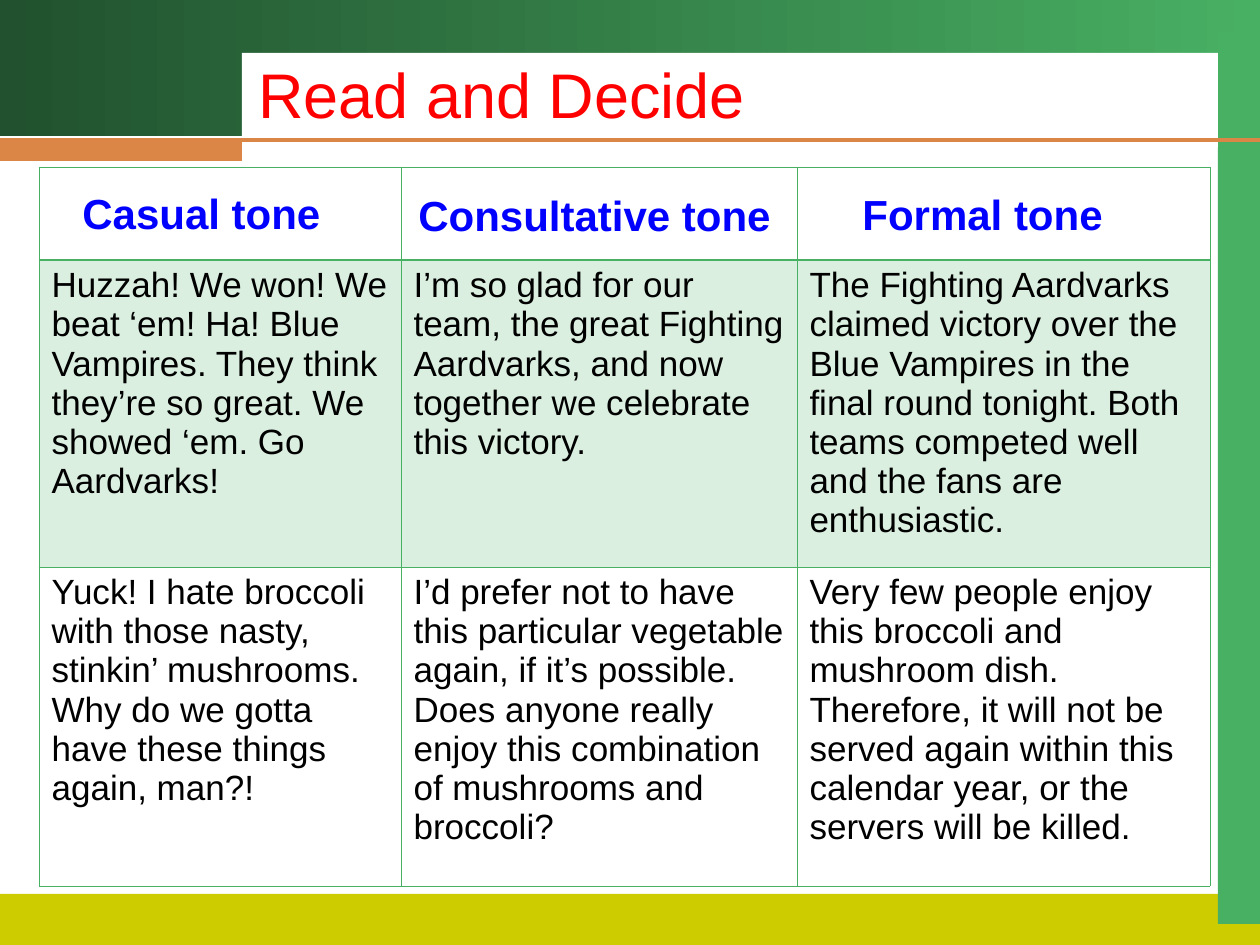
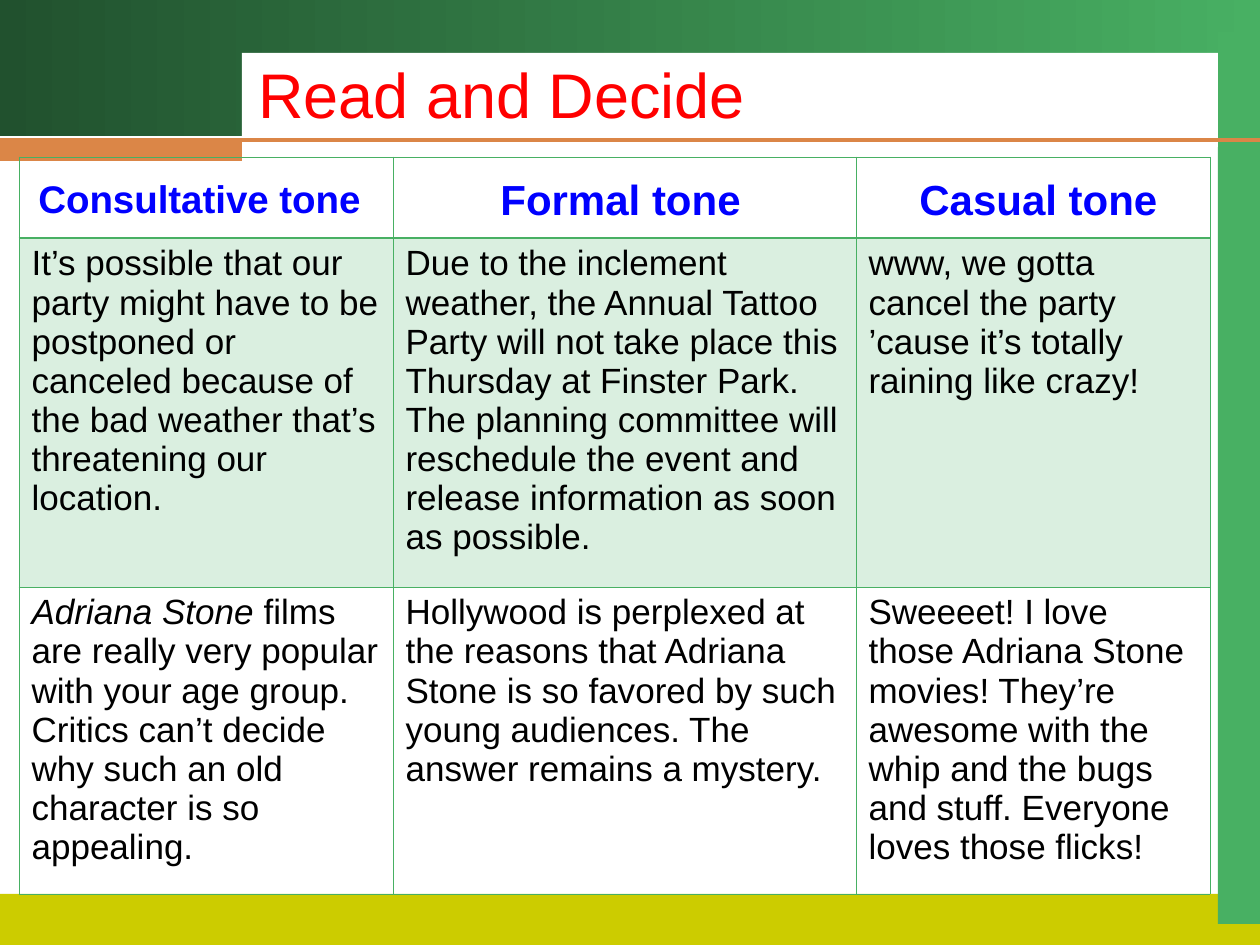
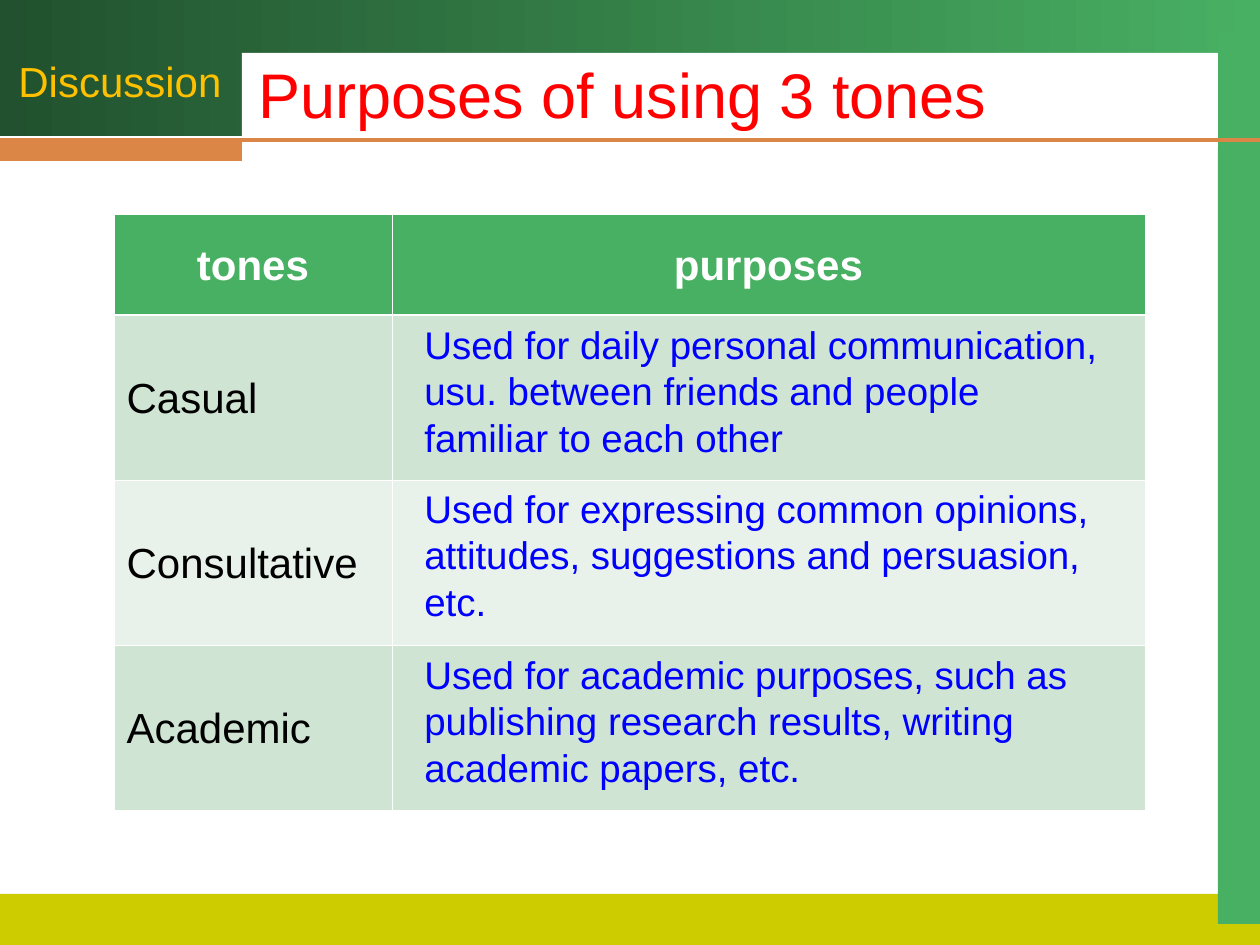
from lxml.etree import SubElement
from pptx import Presentation
from pptx.dml.color import RGBColor
from pptx.enum.shapes import MSO_CONNECTOR, MSO_SHAPE
from pptx.enum.text import MSO_ANCHOR, PP_ALIGN
from pptx.oxml.ns import qn
from pptx.util import Pt

PX = 7257  # EMU in one px, 126 px to the inch
FONT = "Arial"
DARK_GREEN = RGBColor(0x21, 0x51, 0x2E)
GREEN = RGBColor(0x48, 0xB0, 0x63)
PALE_GREEN = RGBColor(0xDA, 0xEF, 0xE0)
ROW_GREEN = RGBColor(0xCF, 0xE4, 0xD3)
ROW_LIGHT = RGBColor(0xE9, 0xF2, 0xEA)
OLIVE = RGBColor(0xCC, 0xCC, 0x00)
ORANGE = RGBColor(0xDB, 0x86, 0x47)
AMBER = RGBColor(0xFF, 0xC0, 0x00)
RED = RGBColor(0xFF, 0x00, 0x00)
BLUE = RGBColor(0x00, 0x00, 0xFF)
BLACK = RGBColor(0x00, 0x00, 0x00)
WHITE = RGBColor(0xFF, 0xFF, 0xFF)

# Left, top, width, height and colour of the bands on every slide
BANDS = [
    (0, 0, 1260, 136, None),
    (0, 894, 1260, 53, OLIVE),
    (1218, 32, 42, 892, GREEN),
    (242, 53, 976, 94, WHITE),
    (0, 140, 242, 21, ORANGE),
]
TITLES = ["Read and Decide", "Read and Decide", "Purposes of using 3 tones"]

TONE_TABLES = [
    {
        "at": (39, 167), "columns": [362, 396, 413], "rows": [93, 307, 319],
        "headings": [
            ("Casual tone", 70, 181, 268, 24),
            ("Consultative tone", 406, 183, 386, 24),
            ("Formal tone", 850, 182, 270, 24),
        ],
        "examples": [
            [
                "Huzzah! We won! We beat ‘em! Ha! Blue Vampires. They think they’re so great. "
                "We showed ‘em. Go Aardvarks!",
                "I’m so glad for our team, the great Fighting Aardvarks, and now together we "
                "celebrate this victory.",
                "The Fighting Aardvarks claimed victory over the Blue Vampires in the final round "
                "tonight. Both teams competed well and the fans are enthusiastic.",
            ],
            [
                "Yuck! I hate broccoli with those nasty, stinkin’ mushrooms. Why do we gotta have "
                "these things again, man?!",
                "I’d prefer not to have this particular vegetable again, if it’s possible. Does "
                "anyone really enjoy this combination of mushrooms and broccoli?",
                "Very few people enjoy this broccoli and mushroom dish. Therefore, it will not be "
                "served again within this calendar year, or the servers will be killed.",
            ],
        ],
    },
    {
        "at": (19, 157), "columns": [374, 463, 354], "rows": [81, 349, 307],
        "headings": [
            ("Casual tone", 907, 167, 268, 24),
            ("Consultative tone", 26, 169, 356, 22),
            ("Formal tone", 488, 167, 270, 24),
        ],
        "examples": [
            [
                "It’s possible that our party might have to be postponed or canceled because of "
                "the bad weather that’s threatening our location.",
                "Due to the inclement weather, the Annual Tattoo Party will not take place this "
                "Thursday at Finster Park. The planning committee will reschedule the event and "
                "release information as soon as possible.",
                "www, we gotta cancel the party ’cause it’s totally raining like crazy!",
            ],
            [
                ("Adriana Stone ", "films are really very popular with your age group. Critics "
                 "can’t decide why such an old character is so appealing."),
                "Hollywood is perplexed at the reasons that Adriana Stone is so favored by such "
                "young audiences. The answer remains a mystery.",
                "Sweeeet! I love those Adriana Stone movies! They’re awesome with the whip and "
                "the bugs and stuff. Everyone loves those flicks!",
            ],
        ],
    },
]

PURPOSES = [
    ("Casual", ROW_GREEN, 315,
     "Used for daily personal communication, usu. between friends and people familiar to each other"),
    ("Consultative", ROW_LIGHT, 479,
     "Used for expressing common opinions, attitudes, suggestions and persuasion, etc."),
    ("Academic", ROW_GREEN, 645,
     "Used for academic purposes, such as publishing research results, writing academic papers, etc."),
]


def write_text(target, text, size, colour, box=None, bold=False, wrap=True,
               align=PP_ALIGN.LEFT, pitch=1.2):
    """Write into a cell, or into a new text box when box is given.

    In a pair of texts the first one is italic.
    """
    if box:
        target = target.add_textbox(*[length * PX for length in box])
        target.text_frame.word_wrap = wrap
    paragraph = target.text_frame.paragraphs[0]
    paragraph.alignment = align
    paragraph.line_spacing = Pt(size * pitch)
    pieces = [text] if isinstance(text, str) else text
    for index, piece in enumerate(pieces):
        run = paragraph.add_run()
        run.text = piece
        run.font.name = FONT
        run.font.size = Pt(size)
        run.font.bold = bold
        run.font.italic = index < len(pieces) - 1
        run.font.color.rgb = colour


def add_plain_table(slide, left, top, columns, rows, colour, header_line):
    """Add a table with thin borders and a heavier line under its first row."""
    frame = slide.shapes.add_table(len(rows), len(columns), left * PX, top * PX,
                                   sum(columns) * PX, sum(rows) * PX)
    table = frame.table
    table.first_row = table.horz_banding = False
    for column, width in zip(table.columns, columns):
        column.width = width * PX
    for index, (row, height) in enumerate(zip(table.rows, rows)):
        row.height = height * PX
        for cell in row.cells:
            properties = cell._tc.get_or_add_tcPr()
            for side in ("L", "R", "T", "B"):
                heavy = (index, side) in ((0, "B"), (1, "T"))
                line = SubElement(properties, qn(f"a:ln{side}"),
                                  w=str(Pt(header_line if heavy else 0.45)))
                fill = SubElement(line, qn("a:solidFill"))
                SubElement(fill, qn("a:srgbClr"), val=str(colour))
            cell.fill.background()
    return table


presentation = Presentation()
presentation.slide_width = 1260 * PX
presentation.slide_height = 945 * PX

# Bands, rule and title of every slide
for title in TITLES:
    slide = presentation.slides.add_slide(presentation.slide_layouts[6])
    for left, top, width, height, colour in BANDS:
        band = slide.shapes.add_shape(MSO_SHAPE.RECTANGLE, left * PX, top * PX,
                                      width * PX, height * PX)
        band.shadow.inherit = False
        band.line.fill.background()
        if colour is None:
            band.fill.gradient()
            band.fill.gradient_angle = 0
            for stop, shade in zip(band.fill.gradient_stops, (DARK_GREEN, GREEN)):
                stop.color.rgb = shade
            band.fill.gradient_stops[0].position = 0
            band.fill.gradient_stops[1].position = 1
        else:
            band.fill.solid()
            band.fill.fore_color.rgb = colour
    rule = slide.shapes.add_connector(MSO_CONNECTOR.STRAIGHT, 0, 140 * PX, 1260 * PX, 140 * PX)
    rule.line.color.rgb = ORANGE
    rule.line.width = Pt(2.25)
    SubElement(rule._element.spPr, qn("a:effectLst"))
    write_text(slide.shapes, title, 36, RED, box=(246, 49, 767, 88))

# Examples of the three tones
for slide, tones in zip(presentation.slides, TONE_TABLES):
    table = add_plain_table(slide, *tones["at"], tones["columns"], tones["rows"], GREEN, 0.96)
    for row_index, examples in enumerate(tones["examples"], start=1):
        for column_index, example in enumerate(examples):
            cell = table.cell(row_index, column_index)
            write_text(cell, example, 20, BLACK, pitch=1.115)
            if row_index == 1:
                cell.fill.solid()
                cell.fill.fore_color.rgb = PALE_GREEN
    for heading, left, top, width, size in tones["headings"]:
        write_text(slide.shapes, heading, size, BLUE, box=(left, top, width, 63), bold=True)

# Purposes of the tones
slide = presentation.slides[2]
table = add_plain_table(slide, 114, 214, [278, 753], [101, 165, 165, 165], WHITE, 1.47)
for row, colour in zip(table.rows, [GREEN] + [purpose[1] for purpose in PURPOSES]):
    for cell in row.cells:
        cell.vertical_anchor = MSO_ANCHOR.MIDDLE
        cell.fill.solid()
        cell.fill.fore_color.rgb = colour
for column_index, heading in enumerate(["tones", "purposes"]):
    write_text(table.cell(0, column_index), heading, 24, WHITE, bold=True, align=PP_ALIGN.CENTER)
write_text(slide.shapes, "Discussion", 24, AMBER, box=(6, 49, 228, 63), wrap=False)
for row_index, (tone, colour, top, purpose) in enumerate(PURPOSES, start=1):
    write_text(table.cell(row_index, 0), tone, 24, BLACK)
    write_text(slide.shapes, purpose, 22, BLUE, box=(412, top, 714, 151))

presentation.save("out.pptx")
